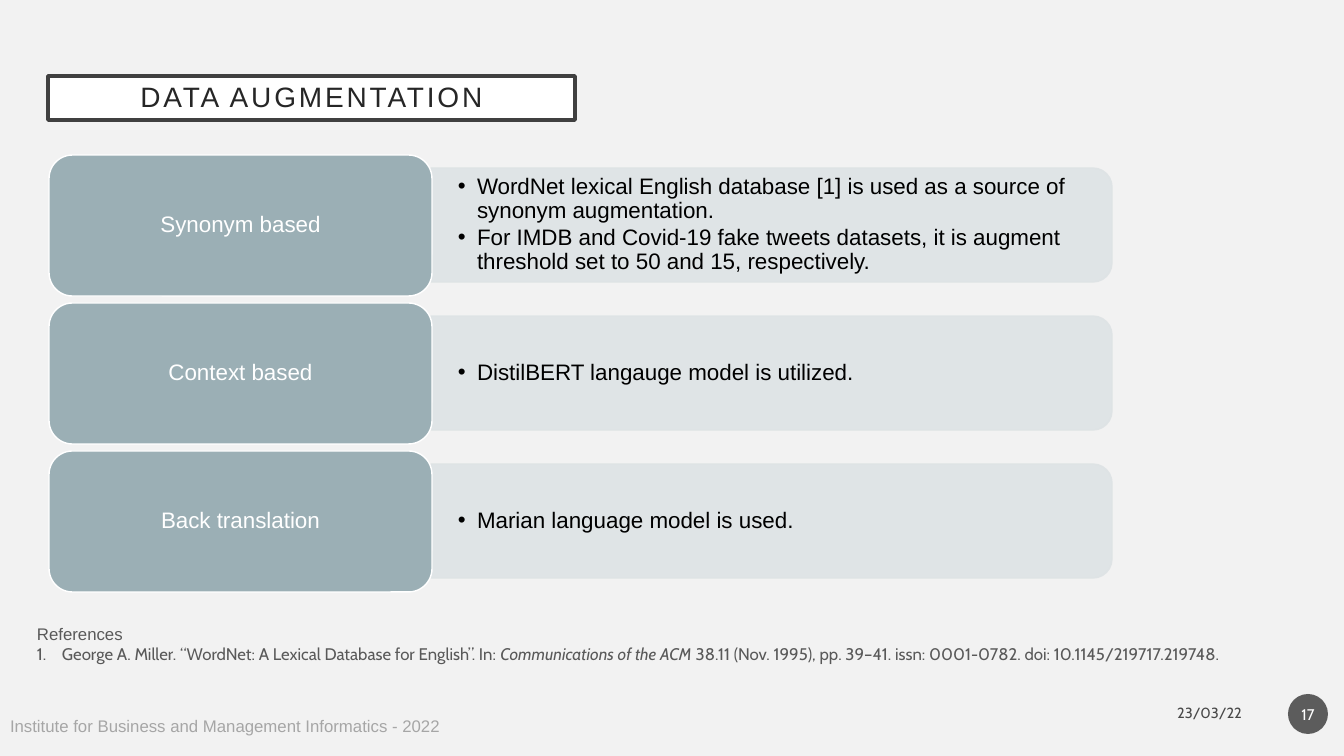
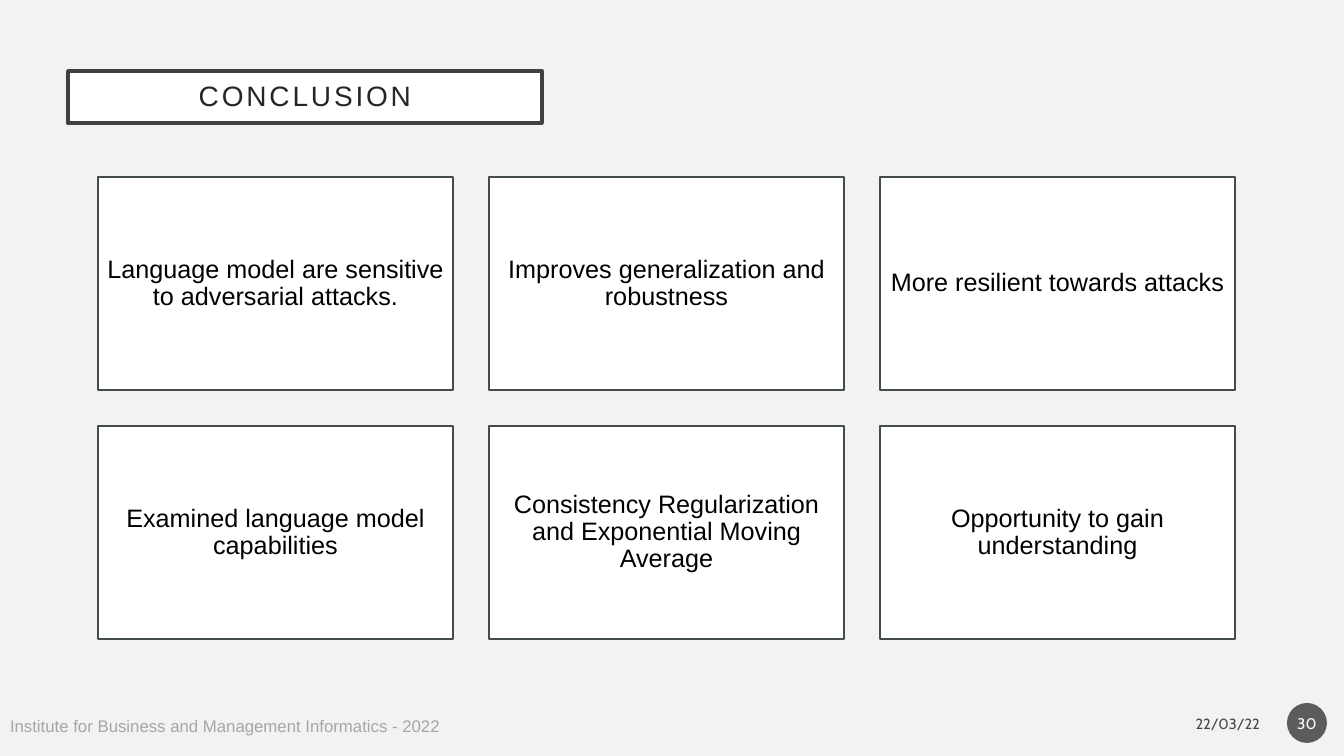
from dataclasses import dataclass

from pptx import Presentation
from pptx.dml.color import RGBColor as Rgb
from pptx.enum.shapes import MSO_SHAPE as Preset
from pptx.enum.text import MSO_ANCHOR as Anchor, MSO_AUTO_SIZE as AutoSize, PP_ALIGN as Align
from pptx.oxml.ns import qn
from pptx.oxml.xmlchemy import OxmlElement as Element
from pptx.util import Emu, Pt

SLIDE_W, SLIDE_H = 1344, 756
SCALE = 12192000 / SLIDE_W


@dataclass(frozen=True)
class Theme:
    page: Rgb = Rgb.from_string("F2F2F2")
    white: Rgb = Rgb.from_string("FFFFFF")
    black: Rgb = Rgb.from_string("000000")
    title_text: Rgb = Rgb.from_string("262626")
    title_border: Rgb = Rgb.from_string("404040")
    footer: Rgb = Rgb.from_string("A6A6A6")
    reference: Rgb = Rgb.from_string("595959")
    badge: Rgb = Rgb.from_string("1D1D1D")
    label: Rgb = Rgb.from_string("9BAFB5")
    panel: Rgb = Rgb.from_string("DEE3E5")
    card_border: Rgb = Rgb.from_string("434B4E")
    sans: str = "Arial"
    accent: str = "Cabin"
    title_size: Pt = Pt(20)
    card_size: Pt = Pt(18)
    body_size: Pt = Pt(16)
    note_size: Pt = Pt(12)
    number_size: Pt = Pt(11)
    date_size: Pt = Pt(10.5)


THEME = Theme()
FOOTER = "Institute for Business and Management Informatics - 2022"
METHODS = [
    ("Synonym based", [
        "WordNet lexical English database [1] is used as a source of synonym augmentation.",
        "For IMDB and Covid-19 fake tweets datasets, it is augment threshold set to 50 and 15, respectively.",
    ]),
    ("Context based", ["DistilBERT langauge model is utilized."]),
    ("Back translation", ["Marian language model is used."]),
]
REFERENCE = [
    ("George A. Miller. “WordNet: A Lexical Database for English”. In: ", False),
    ("Communications of the ACM ", True),
    ("38.11 (Nov. 1995), pp. 39–41. issn: 0001-0782. doi: 10.1145/219717.219748.", False),
]
CONCLUSIONS = [
    "Language model are sensitive to adversarial attacks.",
    "Improves generalization and robustness",
    "More resilient towards attacks",
    "Examined language model capabilities",
    "Consistency Regularization and Exponential Moving Average",
    "Opportunity to gain understanding",
]


def px(length):
    return Emu(round(length * SCALE))


def assign(target, values):
    for name, value in values.items():
        setattr(target, name, value)


def place(shape, left, top, width, height):
    assign(shape, {"left": px(left), "top": px(top), "width": px(width), "height": px(height)})


def paint(shape, fill, border=None, weight=1):
    shape.fill.solid()
    shape.fill.fore_color.rgb = fill
    if border is None:
        shape.line.fill.background()
    else:
        shape.line.color.rgb = border
        shape.line.width = Pt(weight)


def fade(element, percent):
    for colour in element.iter(qn("a:srgbClr")):
        alpha = Element("a:alpha")
        alpha.set("val", str(percent * 1000))
        colour.append(alpha)


def set_frame(shape, inset_x=10, inset_y=5, anchor=Anchor.MIDDLE, wrap=True):
    frame = shape.text_frame
    assign(frame, {
        "auto_size": AutoSize.NONE, "word_wrap": wrap, "vertical_anchor": anchor,
        "margin_left": px(inset_x), "margin_right": px(inset_x),
        "margin_top": px(inset_y), "margin_bottom": px(inset_y),
    })
    return frame


def add_run(paragraph, text, size, colour, font=THEME.sans, italic=False):
    run = paragraph.add_run()
    run.text = text
    assign(run.font, {"name": font, "size": size, "italic": italic, "bold": False})
    run.font.color.rgb = colour
    return run


def write(frame, text, size, colour, align=Align.CENTER, spacing=0.9, font=THEME.sans):
    paragraph = frame.paragraphs[0]
    assign(paragraph, {"alignment": align, "line_spacing": spacing})
    return add_run(paragraph, text, size, colour, font)


def set_marker(paragraph, indent, font, tag, key, value):
    properties = paragraph._p.get_or_add_pPr()
    properties.set("marL", str(px(indent)))
    properties.set("indent", str(-px(indent)))
    typeface = Element("a:buFont")
    typeface.set("typeface", font)
    marker = Element(tag)
    marker.set(key, value)
    properties.extend([typeface, marker])


def add_preset(slide, preset, box, fill, border=None):
    shape = slide.shapes.add_shape(preset, *map(px, box))
    shape.shadow.inherit = False
    paint(shape, fill, border)
    return shape


def add_textbox(slide, box, **frame_options):
    return set_frame(slide.shapes.add_textbox(*map(px, box)), **frame_options)


def set_title(slide, text, box):
    title = slide.shapes.title
    place(title, *box)
    paint(title, THEME.white, THEME.title_border, 2.5)
    run = write(set_frame(title, 20, 20), text, THEME.title_size, THEME.title_text)
    run.font._element.set("spc", "200")


def add_footer(slide, date, date_origin, number, badge_origin):
    owner = add_textbox(slide, (0, 711, 455, 30), anchor=Anchor.TOP, wrap=False)
    write(owner, FOOTER, THEME.note_size, THEME.footer, Align.LEFT, 1.0)
    date_frame = add_textbox(slide, (*date_origin, 303, 35))
    day = write(date_frame, date, THEME.date_size, THEME.black, Align.RIGHT, 1.0, THEME.accent)
    fade(day.font._element, 70)
    badge = add_preset(slide, Preset.OVAL, (*badge_origin, 40, 40), THEME.badge)
    fade(badge._element.spPr, 70)
    write(set_frame(badge, 2, 5), number, THEME.number_size, THEME.white,
          spacing=1.0, font=THEME.accent)


def add_panel(slide, left, top, width, height):
    shift = (width - height) / 2
    panel = add_preset(slide, Preset.ROUND_2_SAME_RECTANGLE,
                       (left + shift, top - shift, height, width), THEME.panel, THEME.panel)
    panel.rotation = 90
    fade(panel._element.spPr, 90)


def add_method(slide, top, name, points):
    add_panel(slide, 431, top + 13, 681, 114)
    frame = add_textbox(slide, (431, top + 19, 675, 102), inset_x=27, inset_y=14)
    for index, point in enumerate(points):
        paragraph = frame.add_paragraph() if index else frame.paragraphs[0]
        assign(paragraph, {"line_spacing": 0.9, "space_after": Pt(2)})
        set_marker(paragraph, 19, THEME.sans, "a:buChar", "char", "•")
        add_run(paragraph, point, THEME.body_size, THEME.black)
    label = add_preset(slide, Preset.ROUNDED_RECTANGLE, (49, top, 383, 141),
                       THEME.label, THEME.white)
    write(set_frame(label, 14, 10), name, THEME.body_size, THEME.white)


def set_references(slide):
    body = slide.placeholders[1]
    place(body, 27, 619, 1316, 50)
    frame = set_frame(body, anchor=Anchor.TOP)
    heading, entry = frame.paragraphs[0], frame.add_paragraph()
    for paragraph in (heading, entry):
        assign(paragraph, {"space_before": Pt(0), "line_spacing": 1.0, "alignment": Align.LEFT})
    properties = heading._p.get_or_add_pPr()
    properties.set("marL", "0")
    properties.set("indent", "0")
    properties.append(Element("a:buNone"))
    add_run(heading, "References", THEME.note_size, THEME.reference)
    set_marker(entry, 25, THEME.accent, "a:buAutoNum", "type", "arabicPeriod")
    for text, italic in REFERENCE:
        add_run(entry, text, THEME.note_size, THEME.reference, THEME.accent, italic)


def build_augmentation(deck):
    slide = deck.slides.add_slide(deck.slide_layouts[1])
    set_title(slide, "DATA AUGMENTATION", (48, 76, 527, 44))
    for row, (name, points) in enumerate(METHODS):
        add_method(slide, 155 + row * 148, name, points)
    set_references(slide)
    add_footer(slide, "23/03/22", (949, 695), "17", (1288, 694))


def build_conclusion(deck):
    slide = deck.slides.add_slide(deck.slide_layouts[5])
    set_title(slide, "CONCLUSION", (68, 71, 474, 52))
    width, height, gap, columns = 355, 213, 36, 3
    for index, conclusion in enumerate(CONCLUSIONS):
        row, column = divmod(index, columns)
        box = (98 + column * (width + gap), 177 + row * (height + gap), width, height)
        card = add_preset(slide, Preset.RECTANGLE, box, THEME.white, THEME.card_border)
        write(set_frame(card, 7, 7), conclusion, THEME.card_size, THEME.black)
    add_footer(slide, "22/03/22", (967, 706), "30", (1287, 703))


def main():
    deck = Presentation()
    assign(deck, {"slide_width": px(SLIDE_W), "slide_height": px(SLIDE_H)})
    background = deck.slide_master.background.fill
    background.solid()
    background.fore_color.rgb = THEME.page
    build_augmentation(deck)
    build_conclusion(deck)
    deck.save("out.pptx")


if __name__ == "__main__":
    main()
